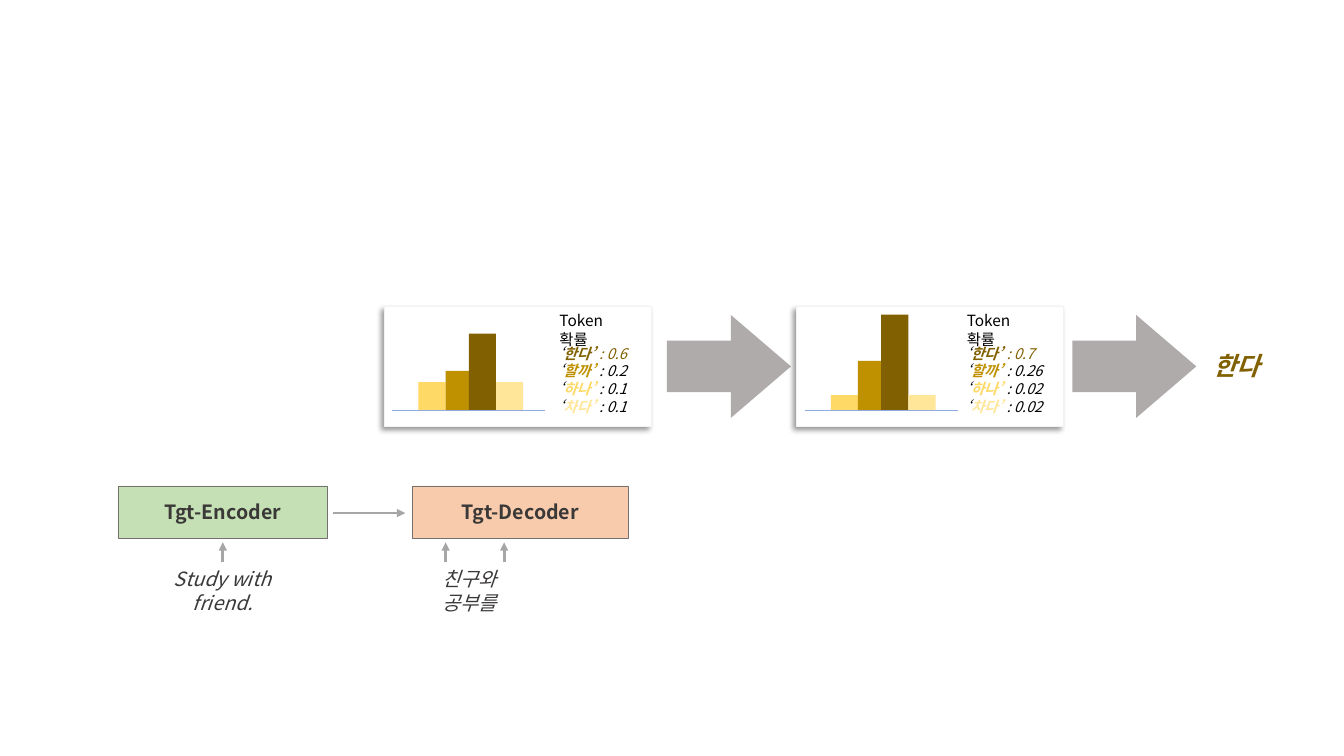
"""Draw how a decoder's token probabilities are sharpened until a word is chosen."""
from dataclasses import dataclass

from lxml.etree import SubElement
from pptx import Presentation
from pptx.dml.color import RGBColor
from pptx.enum.lang import MSO_LANGUAGE_ID as LANGUAGE
from pptx.enum.shapes import MSO_CONNECTOR as CONNECTOR, MSO_SHAPE as SHAPE
from pptx.enum.text import MSO_ANCHOR as ANCHOR, MSO_AUTO_SIZE as AUTO_SIZE, PP_ALIGN as ALIGN
from pptx.oxml.ns import qn
from pptx.util import Inches, Pt


@dataclass(frozen=True)
class Theme:
    font: str = "Noto Sans CJK KR"
    body: float = 14
    answer: float = 18
    heading: float = 11
    detail: float = 10.5
    ink: str = "3B3838"
    black: str = "000000"
    panel: str = "FFFFFF"
    panel_edge: str = "F2F2F2"
    box_edge: str = "767171"
    encoder: str = "C5E0B4"
    decoder: str = "F8CBAD"
    arrow: str = "A6A6A6"
    block_arrow: str = "AFABAB"
    axis: str = "8FAADC"
    best: str = "806000"
    second: str = "BF9000"
    third: str = "FFD966"
    fourth: str = "FFE699"


def rgb(code):
    return RGBColor.from_string(code)


class Diagram:
    def __init__(self, slide, theme):
        self.slide, self.theme = slide, theme

    def shape(self, kind, left, top, width, height, fill, edge=None, parent=None):
        shapes = (parent or self.slide).shapes
        item = shapes.add_shape(kind, Inches(left), Inches(top), Inches(width), Inches(height))
        item.shadow.inherit = False
        item.fill.solid()
        item.fill.fore_color.rgb = rgb(fill)
        if edge:
            item.line.color.rgb = rgb(edge)
            item.line.width = Pt(0.25)
        else:
            item.line.fill.background()
        return item

    def line(self, start, end, color, width, head=False, parent=None):
        ends = [Inches(value) for value in (*start, *end)]
        link = (parent or self.slide).shapes.add_connector(CONNECTOR.STRAIGHT, *ends)
        link.line.color.rgb = rgb(color)
        link.line.width = Pt(width)
        properties = link._element.spPr
        if head:
            SubElement(properties.find(qn("a:ln")), qn("a:tailEnd"), type="triangle")
        SubElement(properties, qn("a:effectLst"))

    def style(self, paragraph, size, color=None, bold=None, italic=None):
        font = paragraph.font
        font.name, font.size, font.bold, font.italic = self.theme.font, Pt(size), bold, italic
        if color:
            font.color.rgb = rgb(color)
        defaults = paragraph._p.pPr.find(qn("a:defRPr"))
        SubElement(defaults, qn("a:ea"), typeface=self.theme.font)

    def frame(self, left, top, width, height, margins=(0.1, 0.1)):
        frame = self.slide.shapes.add_textbox(
            Inches(left), Inches(top), Inches(width), Inches(height)).text_frame
        frame.word_wrap = True
        frame.auto_size = AUTO_SIZE.SHAPE_TO_FIT_TEXT
        frame.margin_left, frame.margin_right = map(Inches, margins)
        return frame

    def text(self, words, box, size, color, align=ALIGN.LEFT, margins=(0.1, 0.1), **look):
        paragraph = self.frame(*box, margins).paragraphs[0]
        paragraph.text = words
        paragraph.alignment = align
        self.style(paragraph, size, color, **look)

    def module(self, name, left, width, fill):
        box = self.shape(SHAPE.RECTANGLE, left, 4.82, width, 0.52, fill, self.theme.box_edge)
        frame = box.text_frame
        frame.margin_left = frame.margin_right = frame.margin_top = frame.margin_bottom = 0
        frame.vertical_anchor = ANCHOR.MIDDLE
        paragraph = frame.paragraphs[0]
        paragraph.text = name
        paragraph.alignment = ALIGN.CENTER
        self.style(paragraph, self.theme.body, self.theme.ink, bold=True)

    def caption(self, words, left, width):
        self.text(words, (left, 5.58, width, 0.34), self.theme.body, self.theme.ink,
                  ALIGN.CENTER, (0.15, 0.15), italic=True)

    def input_arrow(self, x):
        self.line((x, 5.58), (x, 5.38), self.theme.arrow, 2, head=True)

    def panel(self, left):
        card = self.shape(SHAPE.RECTANGLE, left, 3.04, 2.65, 1.19,
                          self.theme.panel, self.theme.panel_edge)
        effects = card._element.spPr.find(qn("a:effectLst"))
        shadow = SubElement(effects, qn("a:outerShdw"), blurRad=str(Pt(4)), dist=str(Pt(3)),
                            dir=str(135 * 60000), algn="tr", rotWithShape="0")
        tint = SubElement(shadow, qn("a:srgbClr"), val=self.theme.black)
        SubElement(tint, qn("a:alpha"), val="40000")

    def bars(self, left, heights):
        theme, baseline = self.theme, 4.07
        group = self.slide.shapes.add_group_shape()
        colors = (theme.third, theme.second, theme.best, theme.fourth)
        for offset, height, color in zip((0.34, 0.61, 0.84, 1.11), heights, colors):
            self.shape(SHAPE.RECTANGLE, left + offset, baseline - height, 0.27, height,
                       color, parent=group)
        self.line((left + 0.08, baseline), (left + 1.6, baseline), theme.axis, 0.5, parent=group)

    def probabilities(self, left, values):
        theme = self.theme
        frame = self.frame(left, 3.37, 1.03, 0.81, (0.1, 0))
        tokens = ("한다", "할까", "하나", "차다")
        colors = (theme.best, theme.second, theme.third, theme.fourth)
        for row, (token, color, value) in enumerate(zip(tokens, colors, values)):
            paragraph = frame.add_paragraph() if row else frame.paragraphs[0]
            value_color = theme.black if row else color
            for words, tone, bold in (("‘", theme.black, False), (f"{token}’ ", color, True),
                                      (f": {value}", value_color, False)):
                run = paragraph.add_run()
                run.text = words
                run.font.color.rgb = rgb(tone)
                run.font.bold = bold
                run.font.language_id = LANGUAGE.KOREAN
            self.style(paragraph, theme.detail, italic=True)
        self.text("Token 확률", (left, 3.04, 0.95, 0.29), theme.heading, theme.black,
                  margins=(0.1, 0.2))

    def block_arrow(self, left):
        arrow = self.shape(SHAPE.UP_ARROW, left, 3.02, 1.02, 1.23, self.theme.block_arrow)
        arrow.adjustments[0], arrow.adjustments[1] = 0.5, 0.584
        arrow.rotation = 90


def main():
    deck = Presentation()
    deck.slide_width, deck.slide_height = Inches(13.33), Inches(7.5)
    theme = Theme()
    diagram = Diagram(deck.slides.add_slide(deck.slide_layouts[6]), theme)

    diagram.module("Tgt-Encoder", 1.17, 2.08, theme.encoder)
    diagram.module("Tgt-Decoder", 4.09, 2.14, theme.decoder)
    diagram.line((3.3, 5.09), (4.02, 5.09), theme.arrow, 2, head=True)
    diagram.caption("Study with friend.", 1.32, 1.78)
    diagram.caption("친구와 공부를", 4, 1.32)
    for x in (2.21, 4.42, 5):
        diagram.input_arrow(x)

    stages = (
        (3.81, 5.45, 6.72, (0.28, 0.39, 0.76, 0.28), ("0.6", "0.2", "0.1", "0.1")),
        (7.9, 9.49, 10.74, (0.15, 0.49, 0.95, 0.15), ("0.7", "0.26", "0.02", "0.02")),
    )
    for panel_left, list_left, arrow_left, heights, values in stages:
        diagram.panel(panel_left)
        diagram.bars(panel_left, heights)
        diagram.probabilities(list_left, values)
        diagram.block_arrow(arrow_left)
    diagram.text("한다", (11.94, 3.43, 0.68, 0.4), theme.answer, theme.best, bold=True, italic=True)

    deck.save("out.pptx")


if __name__ == "__main__":
    main()
